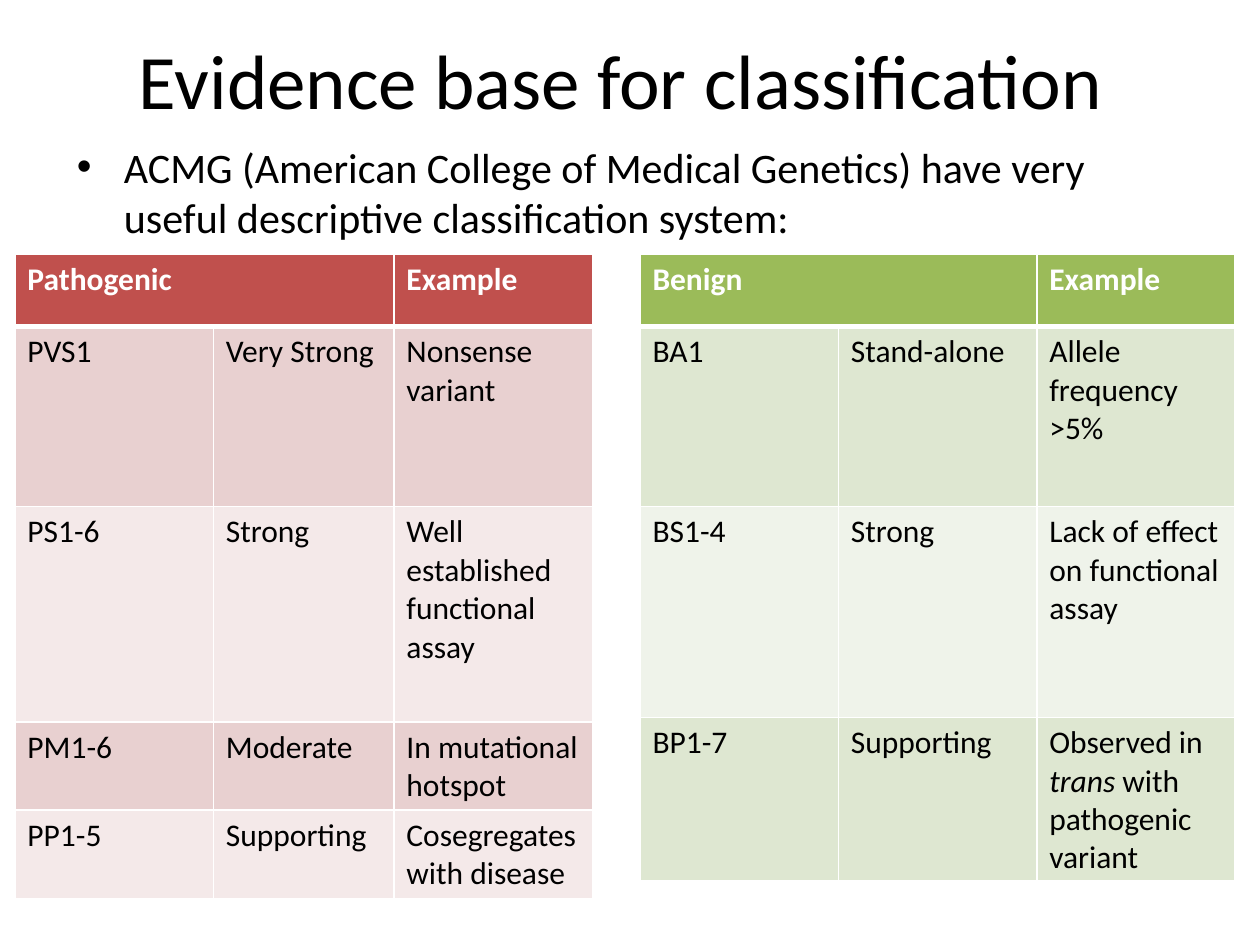
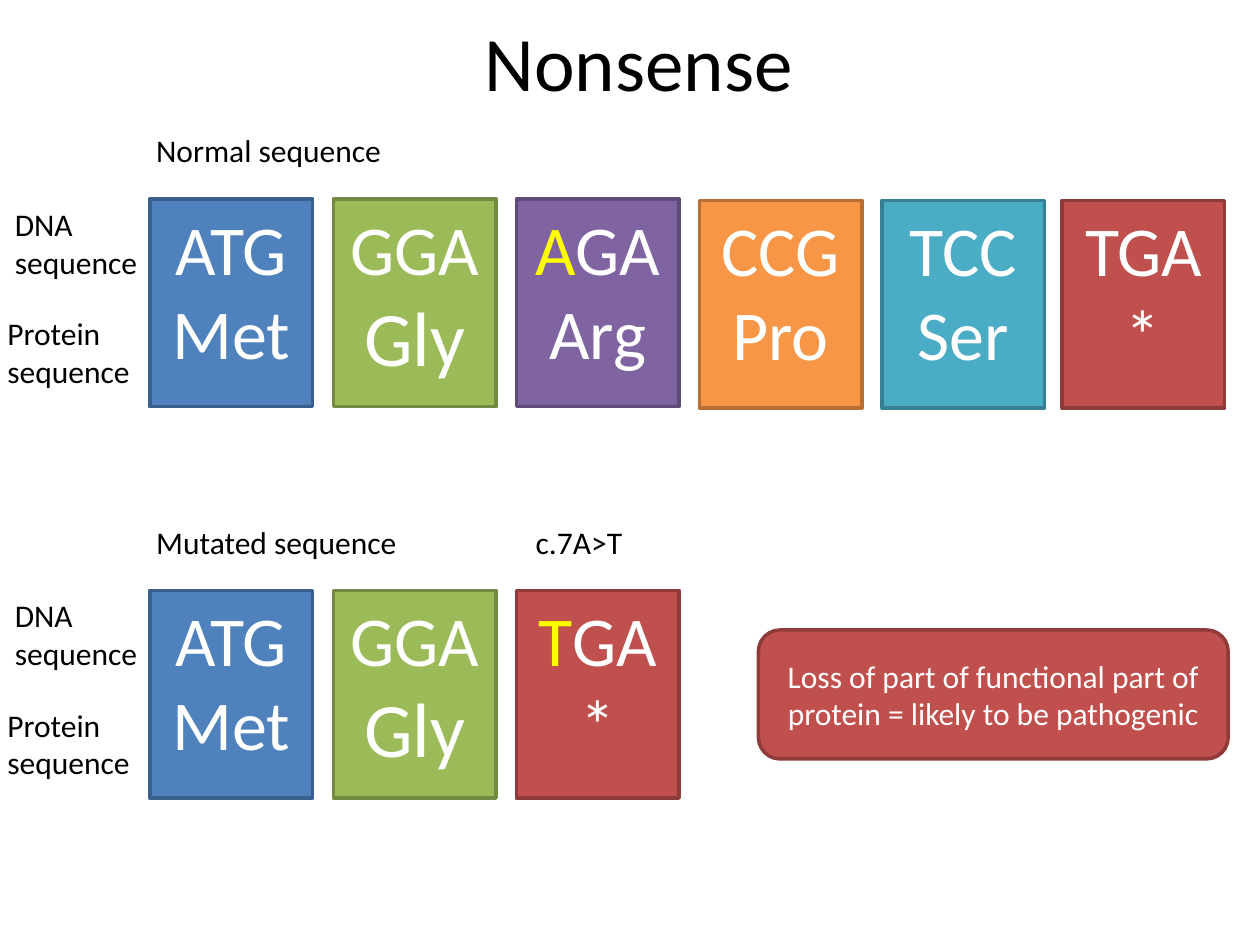
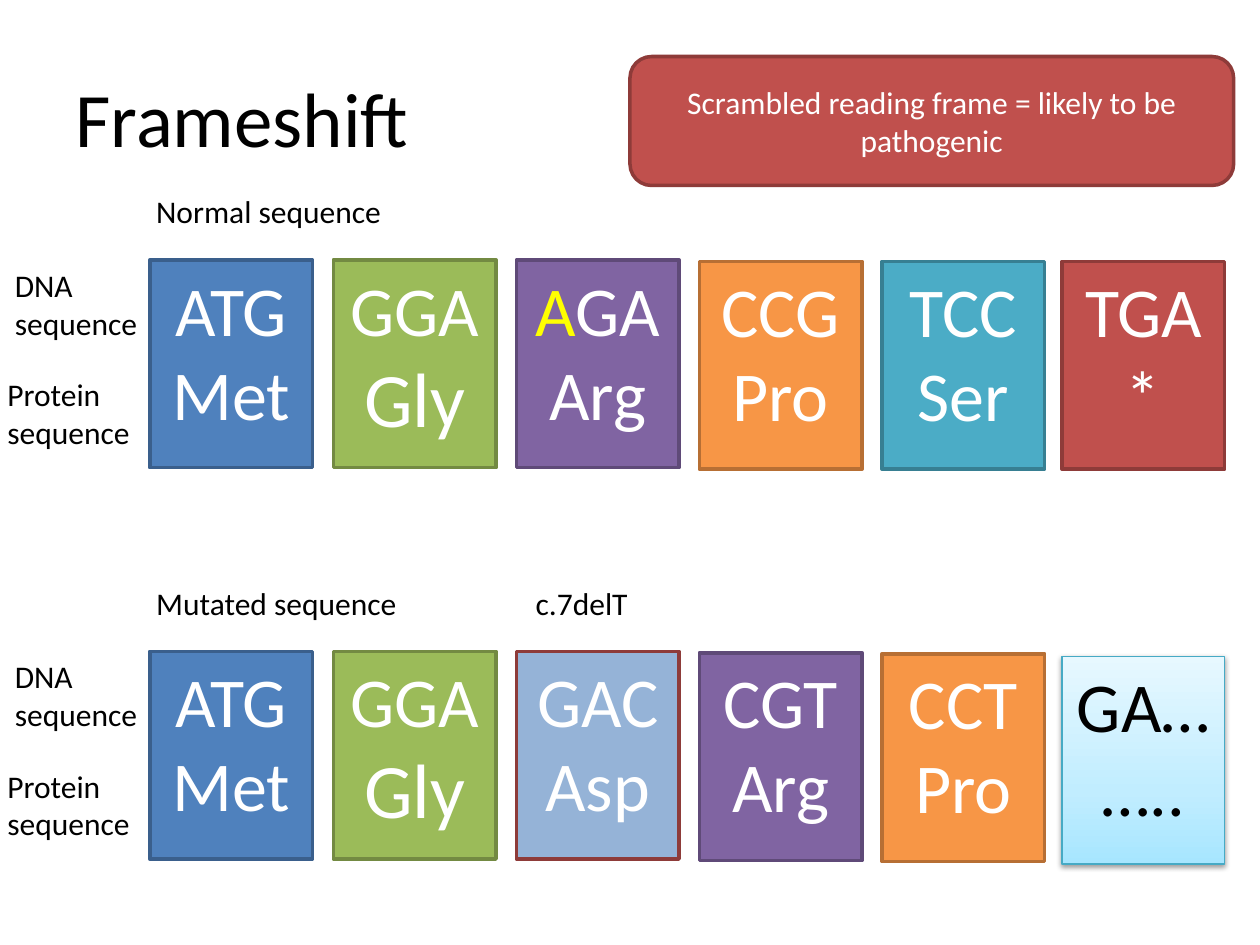
from copy import deepcopy

from lxml import etree
from pptx import Presentation
from pptx.dml.color import RGBColor
from pptx.enum.shapes import MSO_SHAPE
from pptx.enum.text import MSO_ANCHOR, PP_ALIGN
from pptx.oxml.ns import qn
from pptx.util import Cm, Pt

RECT, ROUND_RECT = MSO_SHAPE.RECTANGLE, MSO_SHAPE.ROUNDED_RECTANGLE
TOP, MIDDLE = MSO_ANCHOR.TOP, MSO_ANCHOR.MIDDLE
LEFT, CENTER = PP_ALIGN.LEFT, PP_ALIGN.CENTER

FONT = "Calibri"
BLACK, WHITE, YELLOW = "000000", "FFFFFF", "FFFF00"
RED, RED_LINE = "C0504D", "8E3B39"
GREEN = "9BBB59"
RED_BANDS, GREEN_BANDS = ("E8D0D0", "F4E9E9"), ("DEE7D1", "EFF3EA")

ACID_COLORS = {
    "Met": ("4F81BD", "3A5F8C"),
    "Gly": (GREEN, "738A42"),
    "Arg": ("8064A2", "5F4A78"),
    "Pro": ("F79646", "B76F34"),
    "Ser": ("4BACC6", "377F92"),
    "Asp": ("95B3D7", RED_LINE),
    "*": (RED, RED_LINE),
}
UNREAD_STOPS = ((0, "A7E6FF"), (0.35, "C1EDFF"), (1, "E7F8FF"))
UNREAD_LINE = "46AAC5"

CODON_LEFTS = (3.02, 6.72, 10.41, 14.1, 17.78, 21.41)
CODON_W, CODON_H = 3.28, 4.19
NORMAL_DROPS = (0, 0, 0, 0.03, 0.03, 0.03)
SHIFTED_DROPS = (0, 0, 0, 0.03, 0.05, 0.1)
MUTATED_OFFSET = 7.89

NORMAL = (("ATG", "Met"), ("GGA", "Gly"), ("A|GA", "Arg"),
          ("CCG", "Pro"), ("TCC", "Ser"), ("TGA", "*"))
NONSENSE = (("ATG", "Met"), ("GGA", "Gly"), ("T|GA", "*"))
FRAMESHIFT = (("ATG", "Met"), ("GGA", "Gly"), ("GAC", "Asp"),
              ("CGT", "Arg"), ("CCT", "Pro"), ("GA…", "….."))

PATHOGENIC = (
    ("Pathogenic", "", "Example"),
    ("PVS1", "Very Strong", "Nonsense variant"),
    ("PS1-6", "Strong", "Well established functional assay"),
    ("PM1-6", "Moderate", "In mutational hotspot"),
    ("PP1-5", "Supporting", "Cosegregates with disease"),
)
BENIGN = (
    ("Benign", "", "Example"),
    ("BA1", "Stand-alone", "Allele frequency >5%"),
    ("BS1-4", "Strong", "Lack of effect on functional assay"),
    ("BP1-7", "Supporting", "Observed in |trans |with pathogenic variant"),
)


def rgb(value):
    return RGBColor.from_string(value)


def add_run(p, text, size, color=BLACK, bold=False, italic=False):
    r = p.add_run()
    r.text = text
    r.font.name, r.font.size = FONT, Pt(size)
    r.font.bold, r.font.italic = bold, italic
    r.font.color.rgb = rgb(color)


def add_text(s, text, left, top, width, height, size=18, align=LEFT, anchor=TOP):
    tf = s.shapes.add_textbox(Cm(left), Cm(top), Cm(width), Cm(height)).text_frame
    tf.word_wrap = True
    tf.vertical_anchor = anchor
    p = tf.paragraphs[0]
    p.alignment = align
    add_run(p, text, size)
    return p


def add_title(s, text, left, top, height, align=CENTER):
    add_text(s, text, left, top, 22.86, height, 44, align, MIDDLE)


def add_bullet(p):
    pPr = p._p.get_or_add_pPr()
    pPr.set("marL", str(Cm(0.95)))
    pPr.set("indent", str(-Cm(0.95)))
    etree.SubElement(pPr, qn("a:buFont"), typeface="Arial")
    etree.SubElement(pPr, qn("a:buChar"), char="•")


def add_tab(p, position):
    tabs = etree.SubElement(p._p.get_or_add_pPr(), qn("a:tabLst"))
    etree.SubElement(tabs, qn("a:tab"), pos=str(Cm(position)), algn="l")


def add_block(s, kind, left, top, width, height, line, line_width=2, anchor=TOP):
    sp = s.shapes.add_shape(kind, Cm(left), Cm(top), Cm(width), Cm(height))
    sp.shadow.inherit = False
    sp.line.color.rgb = rgb(line)
    sp.line.width = Pt(line_width)
    tf = sp.text_frame
    tf.word_wrap = True
    tf.vertical_anchor = anchor
    return sp


def fill_solid(target, color):
    target.fill.solid()
    target.fill.fore_color.rgb = rgb(color)


def fill_gradient(sp, stops):
    sp.fill.gradient()
    sp.fill.gradient_angle = 90
    first = sp.fill.gradient_stops[0]._gs
    first.addnext(deepcopy(first))
    for stop, (position, color) in zip(sp.fill.gradient_stops, stops):
        stop.position = position
        stop.color.rgb = rgb(color)


def add_shadow(sp):
    effects = sp._element.spPr.find(qn("a:effectLst"))
    shadow = etree.SubElement(effects, qn("a:outerShdw"), blurRad=str(Pt(3.1)),
                              dist=str(Pt(1.6)), dir="5400000", rotWithShape="0")
    color = etree.SubElement(shadow, qn("a:srgbClr"), val=BLACK)
    etree.SubElement(color, qn("a:alpha"), val="38000")


def add_codon(s, bases, acid, left, top):
    known = acid in ACID_COLORS
    line = ACID_COLORS[acid][1] if known else UNREAD_LINE
    sp = add_block(s, RECT, left, top, CODON_W, CODON_H, line, 2 if known else 0.75)
    if known:
        fill_solid(sp, ACID_COLORS[acid][0])
    else:
        fill_gradient(sp, UNREAD_STOPS)
        add_shadow(sp)
    color = WHITE if known else BLACK
    tf = sp.text_frame
    p = tf.paragraphs[0]
    p.alignment = CENTER
    changed, _, rest = bases.rpartition("|")
    if changed:
        add_run(p, changed, 40, YELLOW)
    add_run(p, rest, 40, color)
    p = tf.add_paragraph()
    p.alignment = CENTER
    add_run(p, acid, 44 if acid == "Gly" else 40, color)


def add_sequence(s, caption, codons, top, drops=NORMAL_DROPS):
    p = add_text(s, caption, 2.9, top - 1.49, 14.2, 1.02)
    if "\t" in caption:
        add_tab(p, 7.65)
    add_text(s, "DNA sequence", 0.05, top, 3.2, 1.8)
    add_text(s, "Protein sequence", -0.1, top + 2.2, 3.2, 1.8)
    for (bases, acid), left, drop in zip(codons, CODON_LEFTS, drops):
        add_codon(s, bases, acid, left, top + drop)


def add_callout(s, text, left, top, width):
    sp = add_block(s, ROUND_RECT, left, top, width, 2.6, RED_LINE, anchor=MIDDLE)
    fill_solid(sp, RED)
    p = sp.text_frame.paragraphs[0]
    p.alignment = CENTER
    add_run(p, text, 18, WHITE)


def set_borders(cell, top, bottom):
    tcPr = cell._tc.get_or_add_tcPr()
    for tag, width in (("lnL", 1), ("lnR", 1), ("lnT", top), ("lnB", bottom)):
        ln = etree.SubElement(tcPr, qn("a:" + tag), w=str(Pt(width)))
        fill = etree.SubElement(ln, qn("a:solidFill"))
        etree.SubElement(fill, qn("a:srgbClr"), val=WHITE)


def add_evidence_table(s, rows, left, widths, heights, header, bands):
    frame = s.shapes.add_table(len(rows), len(widths), Cm(left), Cm(5.13),
                               Cm(sum(widths)), Cm(sum(heights)))
    table = frame.table
    table.first_row = table.horz_banding = False
    for column, width in zip(table.columns, widths):
        column.width = Cm(width)
    for i, (row, height) in enumerate(zip(rows, heights)):
        table.rows[i].height = Cm(height)
        for j, text in enumerate(row):
            cell = table.cell(i, j)
            set_borders(cell, 3 if i == 1 else 1, 3 if i == 0 else 1)
            fill_solid(cell, bands[(i - 1) % 2] if i else header)
            if text:
                p = cell.text_frame.paragraphs[0]
                for k, part in enumerate(text.split("|")):
                    add_run(p, part, 18, BLACK if i else WHITE, i == 0, k == 1)
    table.cell(0, 0).merge(table.cell(0, 1))


def add_evidence_slide(s):
    add_title(s, "Evidence base for classification", 1.09, 0, 3.18)
    p = add_text(s, "ACMG (American College of Medical Genetics) have very useful "
                 "descriptive classification system:", 1.3, 2.72, 22.86, 2.4, 24)
    add_bullet(p)
    add_evidence_table(s, PATHOGENIC, 0.3, (4, 3.64, 4),
                       (1.45, 3.63, 4.34, 1.45, 1.45), RED, RED_BANDS)
    add_evidence_table(s, BENIGN, 12.9, (4, 4, 4),
                       (1.45, 3.63, 4.25, 1.45), GREEN, GREEN_BANDS)


def add_nonsense_slide(s):
    add_title(s, "Nonsense", 1.45, 0, 2.46)
    add_sequence(s, "Normal sequence", NORMAL, 4.01)
    add_sequence(s, "Mutated sequence\tc.7A>T", NONSENSE, 4.01 + MUTATED_OFFSET)
    add_callout(s, "Loss of part of functional part of protein = likely to be pathogenic",
                15.29, 12.7, 9.47)


def add_frameshift_slide(s):
    add_title(s, "Frameshift", 1.27, 0.76, 3.18, LEFT)
    add_sequence(s, "Normal sequence", NORMAL, 5.24)
    add_sequence(s, "Mutated sequence\tc.7delT", FRAMESHIFT, 5.24 + MUTATED_OFFSET,
                 SHIFTED_DROPS)
    add_callout(s, "Scrambled reading frame = likely to be pathogenic", 12.7, 1.14, 12.17)


def main():
    prs = Presentation()
    prs.slide_width, prs.slide_height = Cm(25.4), Cm(19.05)
    for build in (add_evidence_slide, add_nonsense_slide, add_frameshift_slide):
        build(prs.slides.add_slide(prs.slide_layouts[6]))
    prs.save("out.pptx")


if __name__ == "__main__":
    main()
